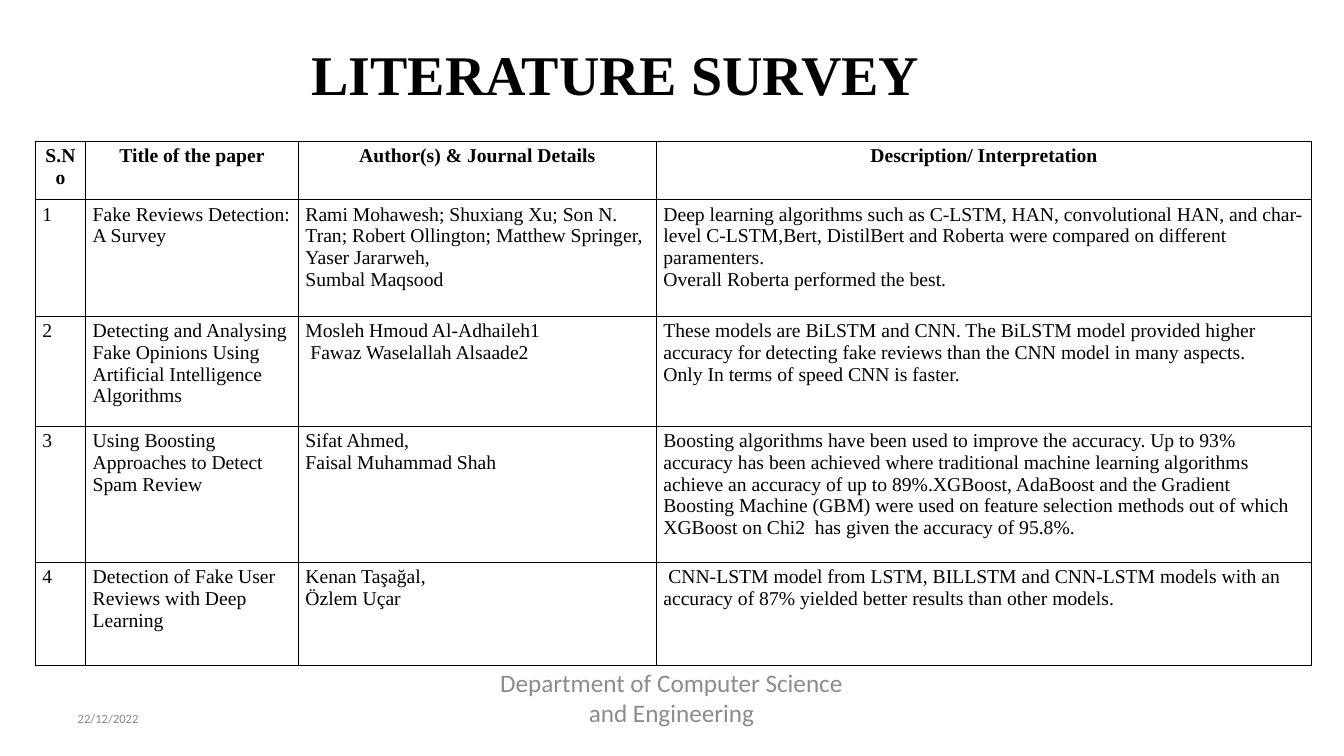
"""Builds the literature survey slide: a title, a table of papers and a footer."""
from lxml.etree import SubElement
from pptx import Presentation
from pptx.dml.color import RGBColor
from pptx.enum.text import MSO_ANCHOR as Anchor, MSO_AUTO_SIZE as AutoSize, PP_ALIGN as Align
from pptx.oxml.ns import qn
from pptx.util import Pt

PX = 9144
SERIF, SANS = "Times New Roman", "Calibri"


def style(para, size, face, color, bold=False, align=Align.LEFT):
    para.alignment = align
    font = para.font
    font.size, font.name, font.bold = Pt(size), face, bold
    font.color.rgb = RGBColor.from_string(color)


def frame_text(box, text, top_inset=0):
    frame = box.text_frame
    frame.margin_left = frame.margin_right = frame.margin_bottom = 0
    frame.margin_top = top_inset * PX
    frame.word_wrap = True
    frame.auto_size = AutoSize.SHAPE_TO_FIT_TEXT
    frame.vertical_anchor = Anchor.TOP
    frame.text = text
    return frame.paragraphs[0]


deck = Presentation()
deck.slide_width, deck.slide_height = 1333 * PX, 750 * PX
page = deck.slides.add_slide(deck.slide_layouts[5])

title = page.shapes.title
title.left, title.top, title.width, title.height = [n * PX for n in (309, 38, 618, 68)]
para = frame_text(title, "LITERATURE SURVEY", 1)
style(para, 40, SERIF, "000000", True)
para.space_before = Pt(0.8)

date = page.shapes.add_textbox(*[n * PX for n in (77, 707, 111, 13)])
para = frame_text(date, "22/12/2022")
style(para, 9, SANS, "888888")
para.line_spacing = Pt(9.3)

footer = page.shapes.add_textbox(*[n * PX for n in (494, 662, 344, 28)])
para = frame_text(footer, "Department of Computer Science and Engineering")
style(para, 18, SANS, "8C8C8C", align=Align.CENTER)

papers = [
    ("S.No", "Title of the paper", "Author(s) & Journal Details", "Description/ Interpretation"),
    ("1", "Fake Reviews Detection: A Survey",
     "Rami Mohawesh; Shuxiang Xu; Son N. Tran; Robert Ollington; Matthew Springer,\v"
     "Yaser Jararweh, \vSumbal Maqsood",
     "Deep learning algorithms such as C-LSTM, HAN, convolutional HAN, and char-level "
     "C-LSTM,Bert, DistilBert and Roberta were compared on different paramenters.\n"
     "Overall Roberta performed the best."),
    ("2", "Detecting and Analysing Fake Opinions Using Artificial Intelligence Algorithms ",
     "Mosleh Hmoud Al-Adhaileh1\n Fawaz Waselallah Alsaade2",
     "These models are BiLSTM and CNN. The BiLSTM model provided higher accuracy for "
     "detecting fake reviews than the CNN model in many aspects.\n"
     "Only In terms of speed CNN is faster."),
    ("3", "Using Boosting Approaches to Detect Spam Review",
     "Sifat Ahmed,\nFaisal Muhammad Shah",
     "Boosting algorithms have been used to improve the accuracy. Up to 93% accuracy has "
     "been achieved where traditional machine learning algorithms achieve an accuracy of "
     "up to 89%.XGBoost, AdaBoost and the Gradient Boosting Machine (GBM) were used on "
     "feature selection methods out of which XGBoost on Chi2  has given the accuracy of 95.8%."),
    ("4", "Detection of Fake User Reviews with Deep Learning",
     "Kenan Taşağal,\nÖzlem Uçar ",
     " CNN-LSTM model from LSTM, BILLSTM and CNN-LSTM models with an accuracy of 87% "
     "yielded better results than other models. "),
]
widths = [50, 211, 355, 650]
heights = [58, 116, 109, 135, 102]
table = page.shapes.add_table(len(heights), len(widths), 35 * PX, 140 * PX,
                              sum(widths) * PX, sum(heights) * PX).table
table.first_row = table.horz_banding = False
for column, width in zip(table.columns, widths):
    column.width = width * PX

for index, (row, height, texts) in enumerate(zip(table.rows, heights, papers)):
    row.height = height * PX
    header = index == 0
    for cell, text in zip(row.cells, texts):
        cell.margin_left = cell.margin_right = 7 * PX
        cell.margin_top = cell.margin_bottom = 4 * PX
        cell.text = text
        for para in cell.text_frame.paragraphs:
            style(para, 14, SERIF, "000000", header, Align.CENTER if header else Align.LEFT)
        properties = cell._tc.get_or_add_tcPr()
        for side in ("a:lnL", "a:lnR", "a:lnT", "a:lnB"):
            line = SubElement(properties, qn(side), w=str(Pt(1)))
            SubElement(SubElement(line, qn("a:solidFill")), qn("a:srgbClr"), val="000000")
        cell.fill.background()

deck.save("out.pptx")
